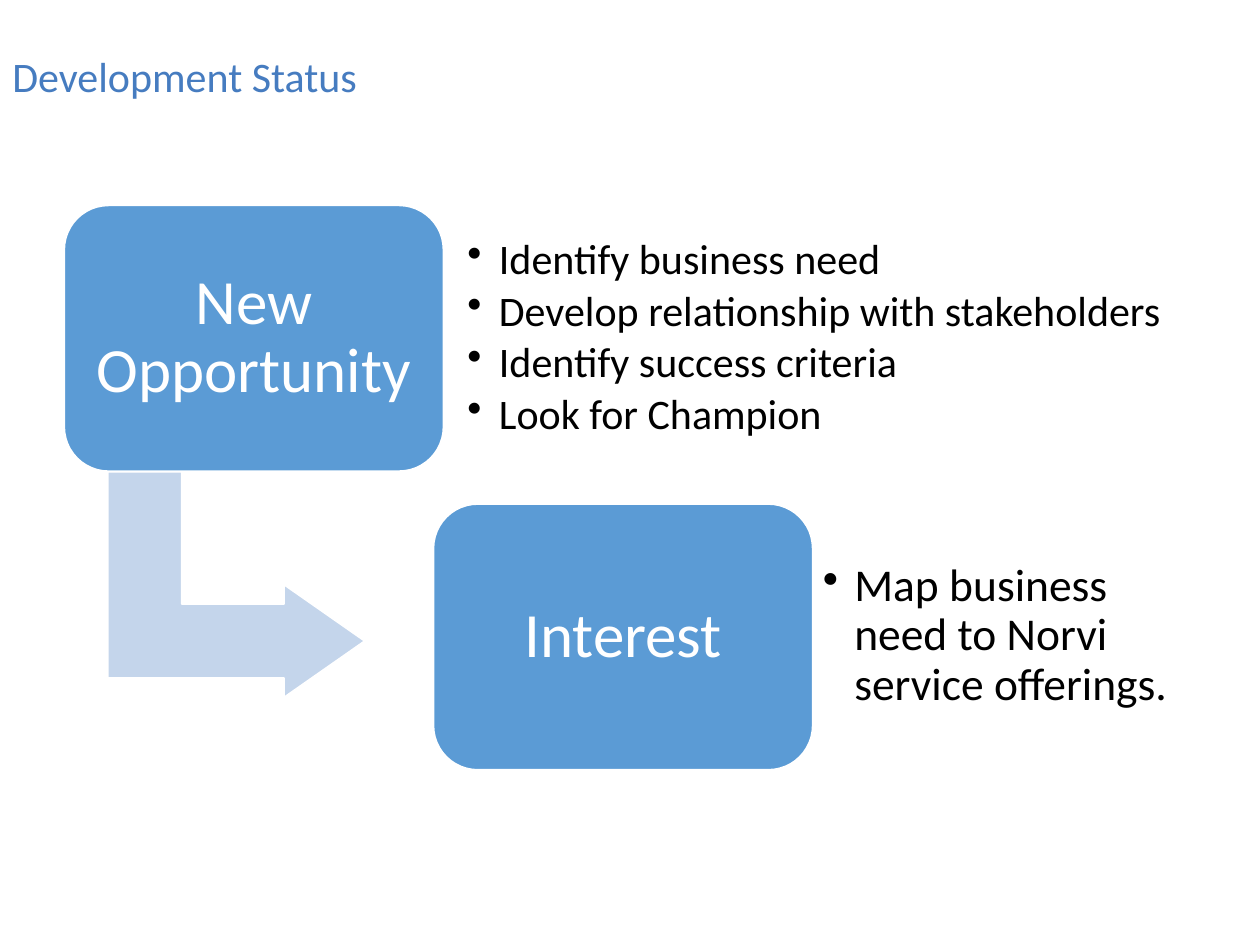
from pptx import Presentation
from pptx.dml.color import RGBColor
from pptx.enum import shapes, text
from pptx.oxml import ns, xmlchemy as xml
from pptx.util import Inches, Pt

HUES = {"title": "467CC0", "step": "5B9BD5", "arrow": "C4D5EB",
        "white": "FFFFFF", "black": "000000"}
STEPS = [
    ((0.51, 1.63, 3.01, 2.11), "New Opportunity",
     (3.58, 1.6, 5.81, 2.17), 24, 0.13,
     ["Identify business need", "Develop relationship with stakeholders",
      "Identify success criteria", "Look for Champion"]),
    ((3.44, 4, 3.01, 2.11), "Interest",
     (6.39, 4.2, 3.03, 1.7), 26, 0.14,
     ["Map business need to Norvi service offerings."]),
]


def color(name):
    return RGBColor.from_string(HUES[name])


def style(item, values):
    for key, value in values.items():
        setattr(item, key, value)


def write(shape, lines, size, hue, inset, align, after=0):
    frame = shape.text_frame
    style(frame, {"word_wrap": True,
                  "vertical_anchor": text.MSO_ANCHOR.MIDDLE,
                  "margin_left": Inches(inset), "margin_right": Inches(inset),
                  "margin_top": Inches(inset), "margin_bottom": Inches(inset)})
    frame.text = "\n".join(lines)
    for para in frame.paragraphs:
        style(para, {"alignment": align, "line_spacing": 0.9,
                     "space_after": Pt(after)})
        for run in para.runs:
            style(run.font, {"name": "Calibri", "size": Pt(size)})
            run.font.color.rgb = color(hue)
    return frame


def add_box(slide, box):
    return slide.shapes.add_textbox(*map(Inches, box))


def add_form(slide, kind, box, hue):
    shape = slide.shapes.add_shape(kind, *map(Inches, box))
    shape.shadow.inherit = False
    shape.fill.solid()
    shape.fill.fore_color.rgb = color(hue)
    shape.line.color.rgb = color("white")
    shape.line.width = Pt(1)
    return shape


def add_title(slide, box):
    write(add_box(slide, box), ["Development Status"], 24, "title", 0.1,
          text.PP_ALIGN.LEFT)


def add_arrow(slide, box):
    arrow = add_form(slide, shapes.MSO_SHAPE.BENT_UP_ARROW, box, "arrow")
    arrow.rotation = 90
    for i, value in enumerate((0.328, 0.25, 0.358)):
        arrow.adjustments[i] = value


def add_step(slide, box, label):
    step = add_form(slide, shapes.MSO_SHAPE.ROUNDED_RECTANGLE, box, "step")
    write(step, [label], 36, "white", 0.14, text.PP_ALIGN.CENTER)


def add_list(slide, box, size, inset, lines):
    frame = write(add_box(slide, box), lines, size, "black", inset,
                  text.PP_ALIGN.LEFT, size * 0.15)
    for para in frame.paragraphs:
        props = para._p.get_or_add_pPr()
        props.set("marL", str(Inches(0.25)))
        props.set("indent", str(Inches(-0.25)))
        mark = xml.OxmlElement("a:buChar")
        mark.set("char", "•")
        props.append(mark)


def main():
    deck = Presentation()
    style(deck, {"slide_width": Inches(10), "slide_height": Inches(7.5)})
    slide = deck.slides.add_slide(deck.slide_layouts[6])
    add_title(slide, (0, 0, 10, 1.25))
    add_arrow(slide, (0.98, 3.62, 1.79, 2.04))
    for box, label, area, size, inset, lines in STEPS:
        add_step(slide, box, label)
        add_list(slide, area, size, inset, lines)
    deck.save("out.pptx")


if __name__ == "__main__":
    main()
